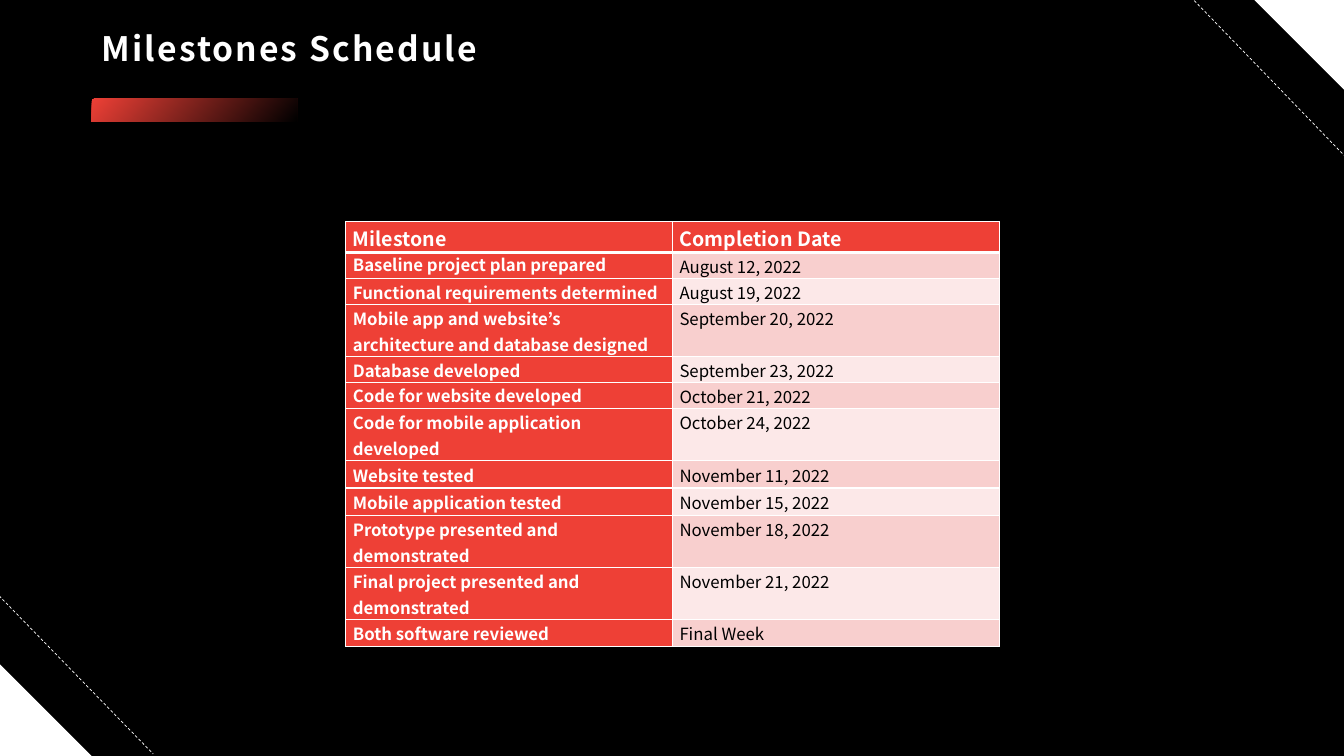
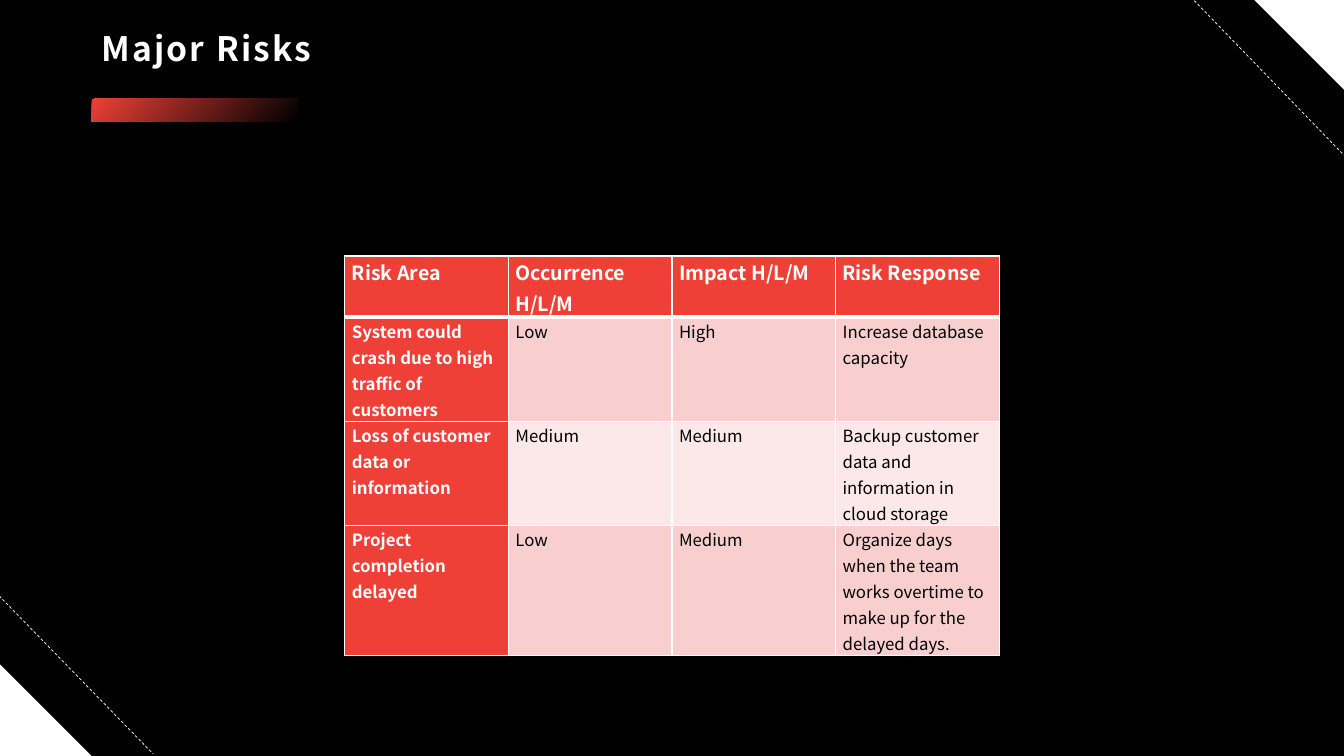
from lxml import etree
from pptx import Presentation
from pptx.dml.color import RGBColor
from pptx.enum.dml import MSO_LINE
from pptx.enum.shapes import MSO_CONNECTOR, MSO_SHAPE
from pptx.enum.text import MSO_ANCHOR, MSO_AUTO_SIZE, PP_ALIGN
from pptx.oxml.ns import qn
from pptx.util import Inches, Pt

RECTANGLE = MSO_SHAPE.RECTANGLE
TRIANGLE = MSO_SHAPE.RIGHT_TRIANGLE
STRAIGHT = MSO_CONNECTOR.STRAIGHT
DASH = MSO_LINE.DASH
MIDDLE = MSO_ANCHOR.MIDDLE
NO_AUTOFIT = MSO_AUTO_SIZE.NONE
LEFT = PP_ALIGN.LEFT

COLORS = {
    "background": "000000",
    "text": "000000",
    "white": "FFFFFF",
    "accent": "EE4036",
    "band_dark": "F8CFCE",
    "band_light": "FCE8E8",
}
TITLE_FONT = "Noto Sans CJK TC"
TABLE_FONT = "Noto Sans CJK JP"

MILESTONES = [
    ("Milestone", "Completion Date"),
    ("Baseline project plan prepared", "August 12, 2022"),
    ("Functional requirements determined", "August 19, 2022"),
    ("Mobile app and website’s architecture and database designed", "September 20, 2022"),
    ("Database developed", "September 23, 2022"),
    ("Code for website developed", "October 21, 2022"),
    ("Code for mobile application developed", "October 24, 2022"),
    ("Website tested", "November 11, 2022"),
    ("Mobile application tested", "November 15, 2022"),
    ("Prototype presented and demonstrated", "November 18, 2022"),
    ("Final project presented and demonstrated", "November 21, 2022"),
    ("Both software reviewed", "Final Week"),
]
MILESTONE_HEIGHTS = [0.3] + [0.25] * 6 + [0.27] * 5
SINGLE_SPACED = ("Baseline project plan prepared", "Code for website developed")

RISKS = [
    ("Risk Area", "Occurrence H/L/M", "Impact H/L/M", "Risk Response"),
    ("System could crash due to high traffic of customers", "Low", "High",
     "Increase database capacity"),
    ("Loss of customer data or information", "Medium", "Medium",
     "Backup customer data and information in cloud storage"),
    ("Project completion delayed", "Low", "Medium",
     "Organize days when the team works overtime to make up for the delayed days."),
]
RISK_HEIGHTS = [0.3] + [0.25] * 3


def rgb(name):
    return RGBColor.from_string(COLORS[name])


def format_paragraph(p, font, size, color, bold, spacing):
    p.alignment = LEFT
    p.line_spacing = spacing
    for r in p.runs:
        r.font.name = font
        r.font.size = Pt(size)
        r.font.bold = bold
        r.font.color.rgb = rgb(color)


def add_plain_shape(s, kind, left, top, width, height):
    sp = s.shapes.add_shape(kind, Inches(left), Inches(top), Inches(width), Inches(height))
    sp.shadow.inherit = False
    sp.line.fill.background()
    return sp


def add_corner(s, left, top, rotation):
    sp = add_plain_shape(s, TRIANGLE, left, top, 0.91, 0.91)
    sp.rotation = rotation
    sp.fill.solid()
    sp.fill.fore_color.rgb = rgb("white")


def add_dashed_line(s, x1, y1, x2, y2):
    line = s.shapes.add_connector(STRAIGHT, Inches(x1), Inches(y1), Inches(x2), Inches(y2))
    line.line.color.rgb = rgb("white")
    line.line.width = Pt(0.5)
    line.line.dash_style = DASH
    etree.SubElement(line.element.spPr, qn("a:effectLst"))


def add_title_bar(s):
    sp = add_plain_shape(s, RECTANGLE, 0.91, 0.98, 2.04, 0.23)
    sp.fill.gradient()
    sp.fill.gradient_angle = 320
    for stop, color in zip(sp.fill.gradient_stops, ("accent", "background")):
        stop.color.rgb = rgb(color)


def add_titled_slide(prs, title):
    s = prs.slides.add_slide(prs.slide_layouts[5])
    add_corner(s, 0, 6.59, 0)
    add_corner(s, 12.43, -0.01, 180)
    add_dashed_line(s, -0.01, 5.91, 1.52, 7.48)
    add_dashed_line(s, 11.81, -0.03, 13.34, 1.55)
    add_title_bar(s)
    sp = s.shapes.title
    sp.left, sp.top = Inches(0.91), Inches(0.18)
    sp.width, sp.height = Inches(11.51), Inches(0.64)
    tf = sp.text_frame
    tf.text = title
    tf.word_wrap = True
    tf.auto_size = NO_AUTOFIT
    tf.vertical_anchor = MIDDLE
    p = tf.paragraphs[0]
    format_paragraph(p, TITLE_FONT, 24, "white", True, 0.9)
    p.runs[0].font._element.set("spc", "150")
    return s


def set_borders(cell, top, bottom):
    tc_pr = cell._tc.get_or_add_tcPr()
    for side, width in (("L", 1), ("R", 1), ("T", top), ("B", bottom)):
        ln = etree.SubElement(tc_pr, qn(f"a:ln{side}"), w=str(Pt(width)))
        fill = etree.SubElement(ln, qn("a:solidFill"))
        etree.SubElement(fill, qn("a:srgbClr"), val=COLORS["white"])


def format_cell(cell, text, row, col):
    header = row == 0
    accent = header or col == 0
    band = "band_dark" if row % 2 else "band_light"
    set_borders(cell, 3 if row == 1 else 1, 3 if header else 1)
    cell.fill.solid()
    cell.fill.fore_color.rgb = rgb("accent" if accent else band)
    cell.margin_left = cell.margin_right = Inches(0.07)
    cell.margin_top = cell.margin_bottom = 0
    cell.text_frame.text = text
    p = cell.text_frame.paragraphs[0]
    single = text in SINGLE_SPACED
    format_paragraph(p, TABLE_FONT, 14 if header else 12,
                     "white" if accent else "text", accent, 1.0 if single else 1.07)
    p.space_after = Pt(0 if single else 8)


def add_data_table(s, rows, heights, left, top, width):
    columns = len(rows[0])
    table = s.shapes.add_table(len(rows), columns, Inches(left), Inches(top),
                               Inches(width), Inches(sum(heights))).table
    for column in table.columns:
        column.width = Inches(width / columns)
    for i, (texts, height) in enumerate(zip(rows, heights)):
        table.rows[i].height = Inches(height)
        for j, text in enumerate(texts):
            format_cell(table.cell(i, j), text, i, j)


def main():
    prs = Presentation()
    prs.slide_width, prs.slide_height = Inches(13.33), Inches(7.5)
    background = prs.slide_master.background.fill
    background.solid()
    background.fore_color.rgb = rgb("background")

    s = add_titled_slide(prs, "Milestones Schedule")
    add_data_table(s, MILESTONES, MILESTONE_HEIGHTS, 3.43, 2.2, 6.48)

    s = add_titled_slide(prs, "Major Risks")
    add_data_table(s, RISKS, RISK_HEIGHTS, 3.42, 2.54, 6.49)

    prs.save("out.pptx")


if __name__ == "__main__":
    main()
